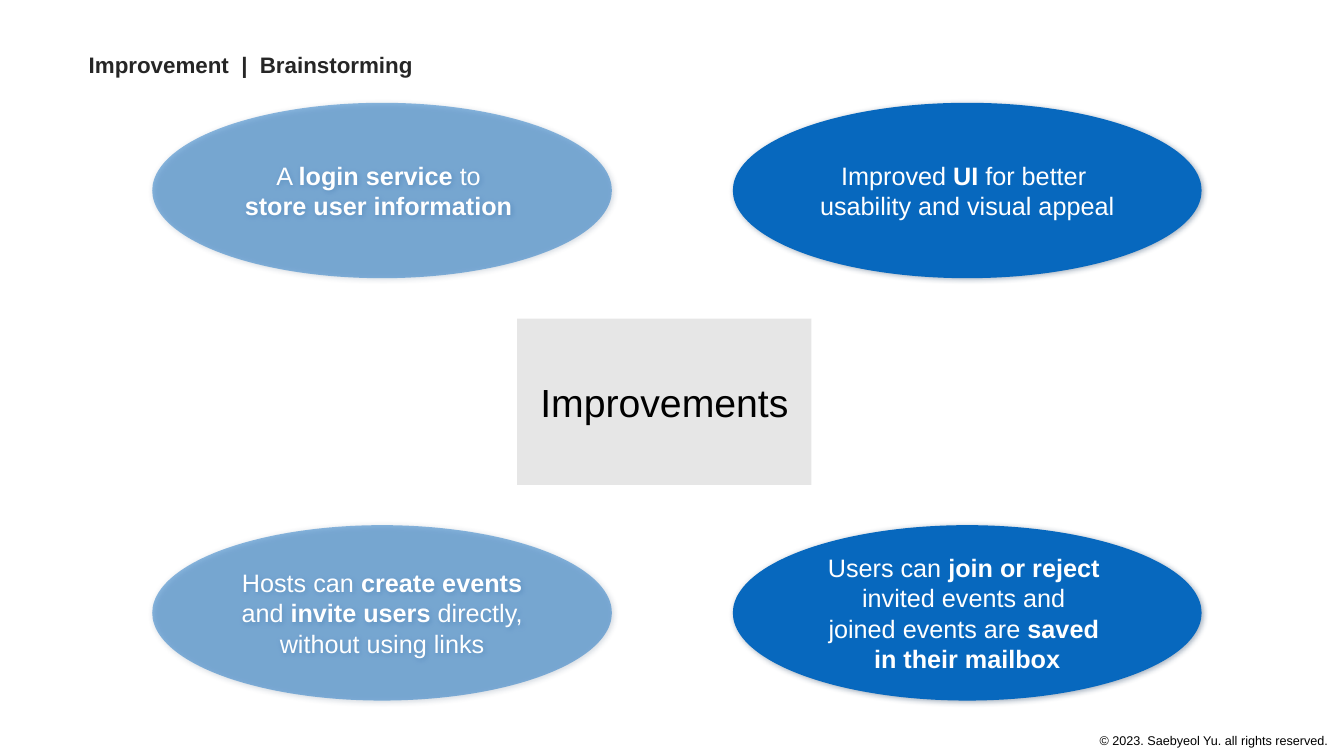
from dataclasses import dataclass

from lxml.etree import SubElement
from pptx import Presentation
from pptx.dml.color import RGBColor
from pptx.enum.shapes import MSO_SHAPE as Preset
from pptx.enum.text import MSO_ANCHOR as Anchor, MSO_AUTO_SIZE as AutoSize, PP_ALIGN as Align
from pptx.oxml.ns import qn
from pptx.util import Emu, Inches, Pt

FONT = "Arial"
BLUE = RGBColor(0x07, 0x68, 0xBE)
GREY = RGBColor(0xD9, 0xD9, 0xD9)
SHADOW = RGBColor(0x20, 0x3E, 0x61)
WHITE = RGBColor(0xFF, 0xFF, 0xFF)
BLACK = RGBColor(0x00, 0x00, 0x00)
DARK = RGBColor(0x26, 0x26, 0x26)

SLIDE_WIDTH, SLIDE_HEIGHT = Inches(13.333), Inches(7.5)


@dataclass(frozen=True)
class Area:
    """Position and size as percentages of the slide."""
    left: float
    top: float
    width: float
    height: float

    def lengths(self) -> tuple[Emu, Emu, Emu, Emu]:
        return (Emu(int(SLIDE_WIDTH * self.left / 100)), Emu(int(SLIDE_HEIGHT * self.top / 100)),
                Emu(int(SLIDE_WIDTH * self.width / 100)), Emu(int(SLIDE_HEIGHT * self.height / 100)))


@dataclass(frozen=True)
class Run:
    text: str
    bold: bool = False


@dataclass(frozen=True)
class Column:
    left: float
    width: float
    opacity: int


@dataclass(frozen=True)
class Idea:
    column: Column
    top: float
    lines: list[list[Run]]


# Grid of ideas: two columns by two rows
LEFT = Column(11.33, 34.2, 46)
RIGHT = Column(54.53, 34.88, 100)
TOP_ROW, BOTTOM_ROW, ROW_HEIGHT = 13.6, 69.47, 23.2

IDEAS = [
    Idea(RIGHT, TOP_ROW, [
        [Run("Improved "), Run("UI", True), Run(" for better ")],
        [Run("usability and visual appeal")],
    ]),
    Idea(LEFT, TOP_ROW, [
        [Run("A "), Run("login service", True), Run(" to ")],
        [Run("store user information ", True)],
    ]),
    Idea(LEFT, BOTTOM_ROW, [
        [Run("Hosts can "), Run("create events ", True), Run("and "),
         Run("invite users ", True), Run("directly, without using links")],
    ]),
    Idea(RIGHT, BOTTOM_ROW, [
        [Run("Users can "), Run("join or reject ", True)],
        [Run("invited events and ")],
        [Run("joined events are "), Run("saved ", True)],
        [Run("in their mailbox", True)],
    ]),
]


def write_lines(frame, lines: list[list[Run]], size: int, color: RGBColor, align: Align) -> None:
    for index, line in enumerate(lines):
        paragraph = frame.paragraphs[0] if index == 0 else frame.add_paragraph()
        paragraph.alignment = align
        for part in line:
            run = paragraph.add_run()
            run.text = part.text
            run.font.name, run.font.size, run.font.bold = FONT, Pt(size), part.bold
            run.font.color.rgb = color


def write_label(shape, area: Area, run: Run, size: int, color: RGBColor) -> None:
    """Place a single unwrapped line of text."""
    shape.left, shape.top, shape.width, shape.height = area.lengths()
    frame = shape.text_frame
    frame.word_wrap = False
    frame.auto_size = AutoSize.SHAPE_TO_FIT_TEXT
    frame.vertical_anchor = Anchor.TOP
    write_lines(frame, [[run]], size, color, Align.LEFT)


def set_opacity(color_element, percent: int) -> None:
    SubElement(color_element, qn("a:alpha"), val=str(percent * 1000))


def add_block(slide, preset: Preset, area: Area, fill: RGBColor, opacity: int,
              lines: list[list[Run]], size: int, color: RGBColor):
    shape = slide.shapes.add_shape(preset, *area.lengths())
    shape.shadow.inherit = False
    shape.fill.solid()
    shape.fill.fore_color.rgb = fill
    if opacity < 100:
        set_opacity(shape.fill._xPr.find(qn("a:solidFill"))[0], opacity)
    shape.line.fill.background()
    frame = shape.text_frame
    frame.word_wrap = True
    frame.vertical_anchor = Anchor.MIDDLE
    write_lines(frame, lines, size, color, Align.CENTER)
    return shape


def add_soft_shadow(shape) -> None:
    effects = shape._element.spPr.find(qn("a:effectLst"))
    shadow = SubElement(effects, qn("a:outerShdw"), blurRad=str(Pt(4)), dist=str(Pt(1)),
                        dir=str(45 * 60000), algn="tl", rotWithShape="0")
    set_opacity(SubElement(shadow, qn("a:srgbClr"), val=str(SHADOW)), 40)


def main() -> None:
    presentation = Presentation()
    presentation.slide_width, presentation.slide_height = SLIDE_WIDTH, SLIDE_HEIGHT
    slide = presentation.slides.add_slide(presentation.slide_layouts.get_by_name("Title Only"))

    # Heading and copyright line
    write_label(slide.shapes.title, Area(5.85, 6.13, 26.4, 4.93),
                Run("Improvement  |  Brainstorming", True), 16, DARK)
    copyright_area = Area(81.08, 96.27, 18.9, 3.33)
    write_label(slide.shapes.add_textbox(*copyright_area.lengths()), copyright_area,
                Run("© 2023. Saebyeol Yu. all rights reserved."), 9, BLACK)

    # Ideas around the centre
    for idea in IDEAS:
        area = Area(idea.column.left, idea.top, idea.column.width, ROW_HEIGHT)
        ellipse = add_block(slide, Preset.OVAL, area, BLUE, idea.column.opacity,
                            idea.lines, 18, WHITE)
        add_soft_shadow(ellipse)

    # Central topic
    add_block(slide, Preset.RECTANGLE, Area(38.48, 42.13, 21.9, 22), GREY, 64,
              [[Run("Improvements")]], 28, BLACK)

    presentation.save("out.pptx")


if __name__ == "__main__":
    main()
